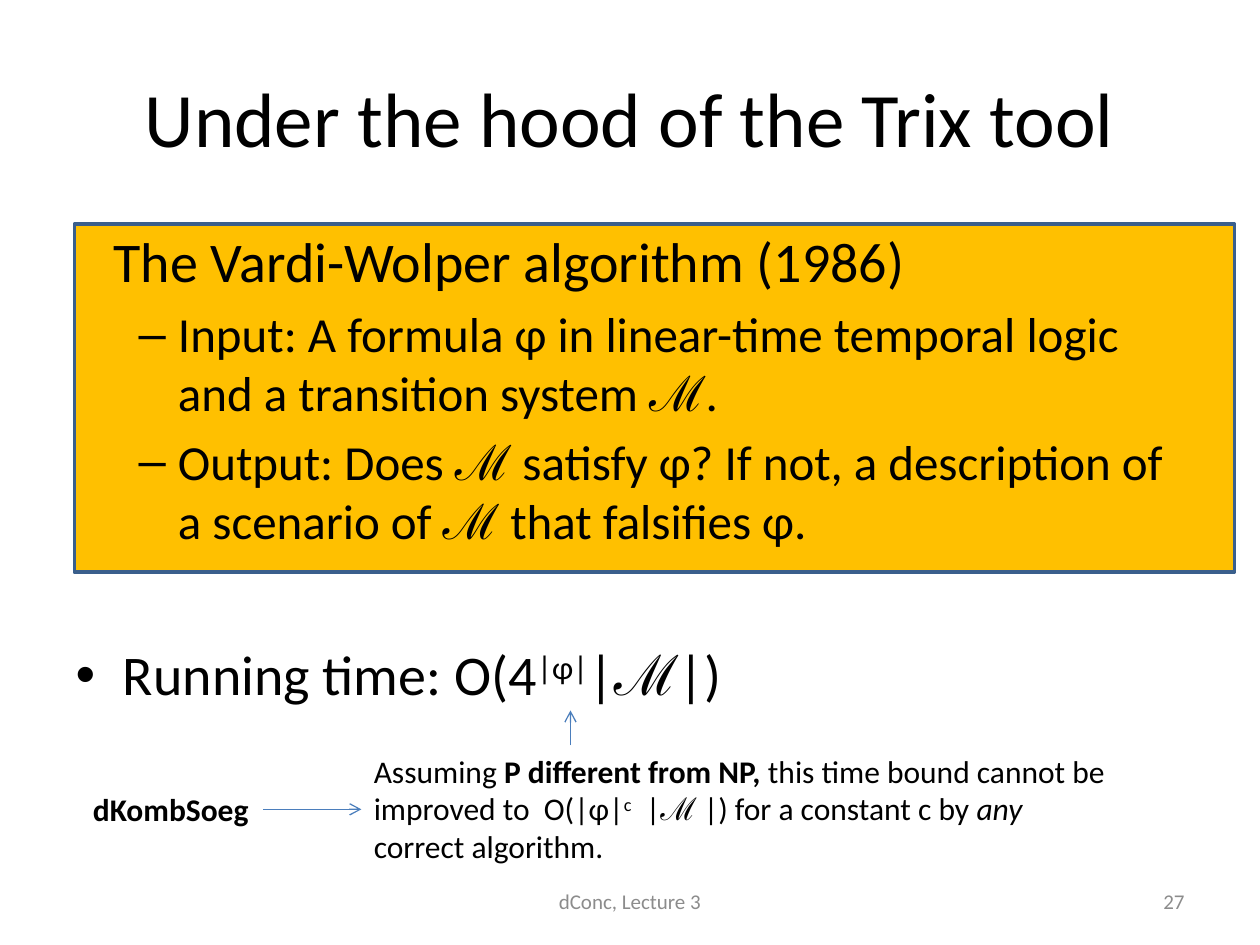
"""Build the slide on the Vardi-Wolper algorithm behind the Trix tool."""
from lxml.etree import SubElement as Sub
from pptx import Presentation
from pptx.dml.color import RGBColor as Rgb
from pptx.enum.shapes import MSO_CONNECTOR as Conn, MSO_SHAPE as Kind
from pptx.enum.text import MSO_ANCHOR as Anchor, MSO_AUTO_SIZE as Auto, PP_ALIGN as Align
from pptx.oxml.ns import qn
from pptx.util import Pt

HUES = {"text": "000000", "panel": "FFC000", "edge": "3A5F8C", "arrow": "4B7EBC", "foot": "8C8C8C"}
BOLD, ITAL, SUPER = {"bold": True}, {"italic": True}, {"super": True}


def hue(name):
    return Rgb.from_string(HUES[name])


def write(para, parts, size, tone="text"):
    for text, extra in parts:
        run = para.add_run()
        run.text = text
        run.font.color.rgb = hue(tone)
        form = {"name": "Calibri", "size": Pt(size), **extra}
        if form.pop("super", False):
            run._r.get_or_add_rPr().set("baseline", "30000")
        for key, value in form.items():
            setattr(run.font, key, value)


deck = Presentation()
deck.slide_width, deck.slide_height = Pt(720), Pt(540)
slide = deck.slides.add_slide(deck.slide_layouts[1])
shapes = slide.shapes

panel = shapes.add_shape(Kind.RECTANGLE, Pt(42.5), Pt(128), Pt(663), Pt(199))
panel.shadow.inherit = False
panel.fill.solid()
panel.fill.fore_color.rgb = hue("panel")
panel.line.color.rgb = hue("edge")
panel.line.width = Pt(2)
shapes._spTree.insert(2, panel._element)

title, body = shapes.title, slide.placeholders[1]
for holder, top, height in ((title, 21.6, 90), (body, 126, 356.4)):
    holder.left, holder.top, holder.width, holder.height = Pt(36), Pt(top), Pt(648), Pt(height)
write(title.text_frame.paragraphs[0], [("Under the hood of the Trix tool", {})], 44)

ITEMS = [
    (0, 32, None, [("The Vardi-Wolper algorithm (1986)", {})]),
    (1, 28, None, [("Input: A formula φ in linear-time temporal logic and a transition system ℳ.", {})]),
    (1, 28, None, [("Output: Does ℳ satisfy φ? If not, a description of a scenario of ℳ that falsifies φ.", {})]),
    (0, 32, 52, [("Running time: O(4", {}), ("|φ|", SUPER), ("|ℳ|)", {})]),
]
frame = body.text_frame
for num, (level, size, gap, parts) in enumerate(ITEMS):
    para = frame.add_paragraph() if num else frame.paragraphs[0]
    para.level = level
    if gap:
        para.space_before = Pt(gap)
    write(para, parts, size)
props = frame.paragraphs[0]._p.get_or_add_pPr()
props.set("marL", str(Pt(21.7)))
props.set("indent", "0")
Sub(props, qn("a:buNone"))

NOTE = [
    ("Assuming ", {}), ("P different from NP, ", BOLD),
    ("this time bound cannot be improved to  O(|φ|", {}), ("c", SUPER),
    ("  |ℳ |) for a constant c by ", {}), ("any ", ITAL), ("correct algorithm.", {}),
]
FOOT = {"vertical_anchor": Anchor.MIDDLE, "word_wrap": True}
GROW = {"auto_size": Auto.SHAPE_TO_FIT_TEXT}
TEXTS = [
    ((206.5, 426, 436.5, 73), NOTE, 18, "text", Align.LEFT, {**GROW, "word_wrap": True}),
    ((46, 448, 104.5, 29), [("dKombSoeg", BOLD)], 18, "text", Align.LEFT, {**GROW, "word_wrap": False}),
    ((246, 500.5, 228, 28.75), [("dConc, Lecture 3", {})], 12, "foot", Align.CENTER, FOOT),
    ((516, 500.5, 168, 28.75), [("27", {})], 12, "foot", Align.RIGHT, FOOT),
]
boxes = []
for place, parts, size, tone, align, form in TEXTS:
    box = shapes.add_textbox(*map(Pt, place))
    for key, value in form.items():
        setattr(box.text_frame, key, value)
    para = box.text_frame.paragraphs[0]
    para.alignment = align
    write(para, parts, size, tone)
    boxes.append(box)
note, label = boxes[:2]

ENDS = [(150.5, 462.5, 206.5, 462.5), (326, 426, 326, 406)]
arrows = []
for ends in ENDS:
    arrow = shapes.add_connector(Conn.STRAIGHT, *map(Pt, ends))
    arrow.line.color.rgb = hue("arrow")
    arrow.line.width = Pt(0.75)
    Sub(arrow.line._get_or_add_ln(), qn("a:tailEnd"), type="arrow")
    Sub(arrow._element.spPr, qn("a:effectLst"))
    arrows.append(arrow)
arrows[0].begin_connect(label, 3)
arrows[0].end_connect(note, 1)

deck.save("out.pptx")
